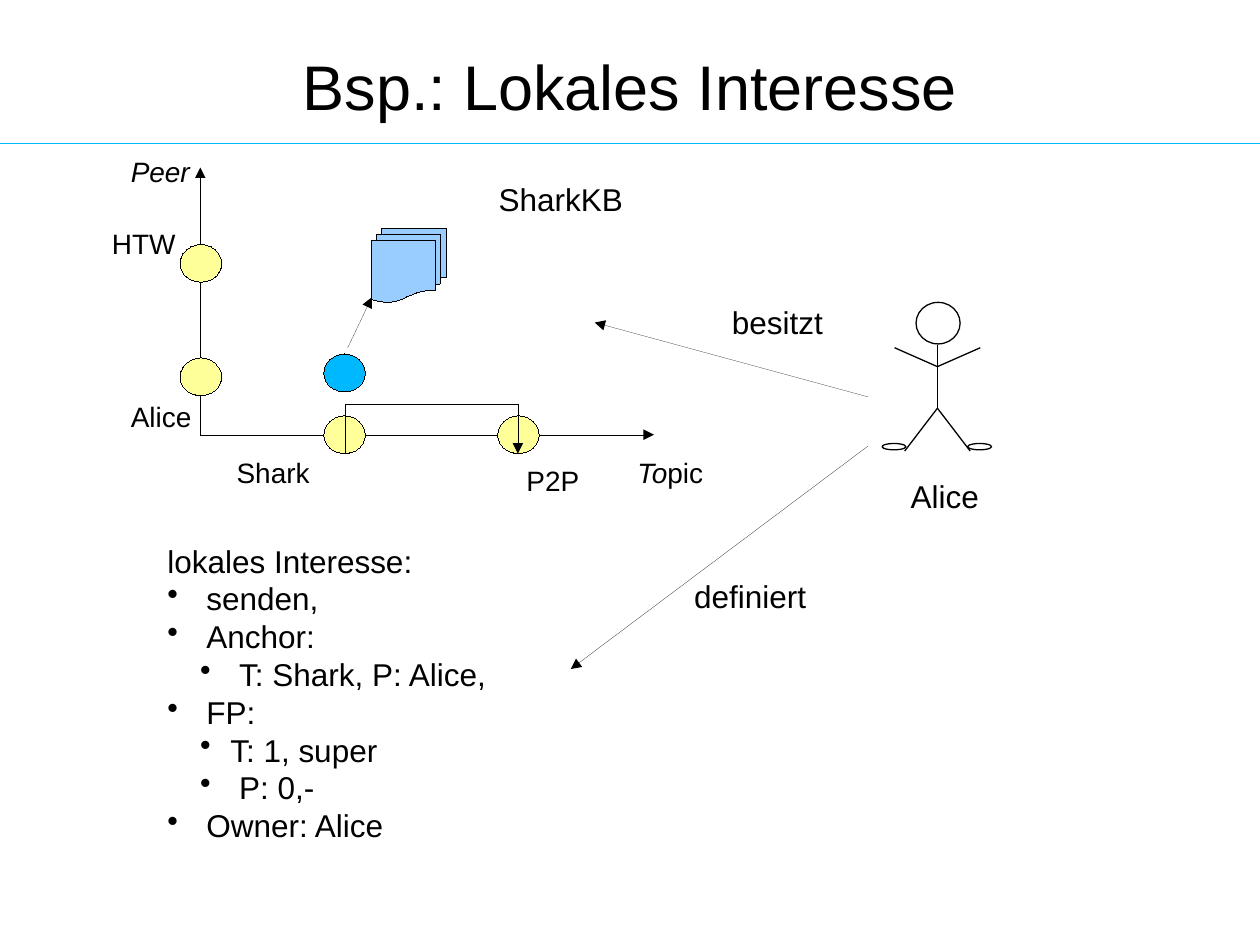
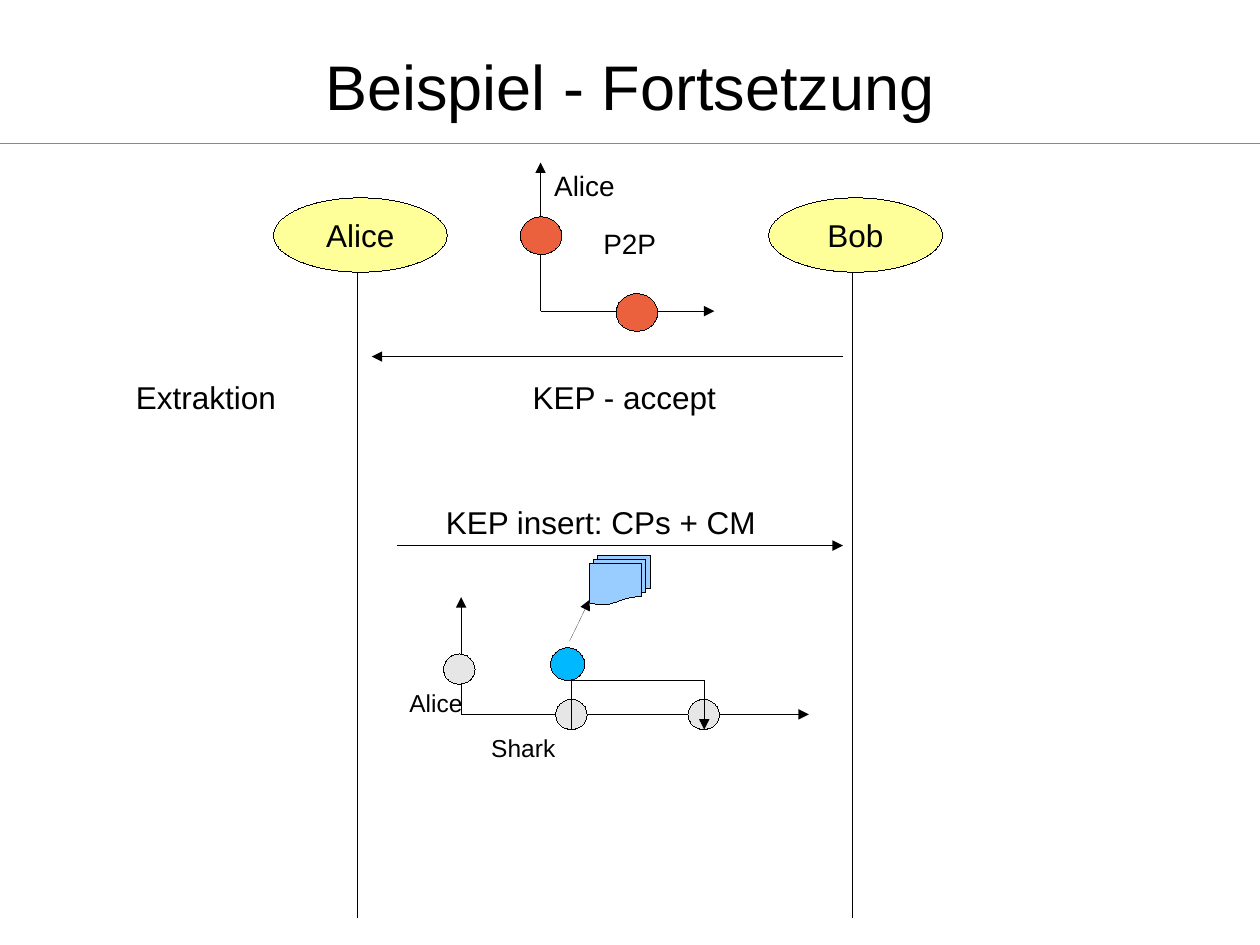
import dataclasses
import typing

import lxml.etree
import pptx
import pptx.dml.color
import pptx.enum.shapes
import pptx.enum.text
import pptx.oxml.ns
import pptx.util

Inches = pptx.util.Inches
Preset = pptx.enum.shapes.MSO_SHAPE
Align = pptx.enum.text.PP_ALIGN


@dataclasses.dataclass(frozen=True)
class Theme:
    font: str = "Arial"
    ink: str = "000000"
    rule: str = "00B8FF"
    yellow: str = "FFFF99"
    blue: str = "00B8FF"
    paper: str = "99CCFF"
    red: str = "EB613D"
    gray: str = "E6E6E6"
    title: int = 36
    text: int = 18
    label: int = 16
    small: int = 14
    hairline: float = 0.01  # a width of zero would fall back to the shape style
    thin: float = 0.75


THEME = Theme()
LABEL_HEIGHT = {THEME.text: 0.4, THEME.label: 0.37, THEME.small: 0.33}


@dataclasses.dataclass(frozen=True)
class Label:
    left: float
    top: float
    width: float
    text: str
    size: int = THEME.text
    italic: bool = False


@dataclasses.dataclass(frozen=True)
class Line:
    x1: float
    y1: float
    x2: float
    y2: float
    arrow: bool = True


@dataclasses.dataclass(frozen=True)
class Shape:
    left: float
    top: float
    width: float = 0.33
    height: float = 0.3
    fill: typing.Optional[str] = THEME.yellow
    preset: Preset = Preset.OVAL
    text: str = ""


@dataclasses.dataclass(frozen=True)
class Bullet:
    text: str
    bullet_at: float = 0
    text_at: float = 0.31


def rgb(value: str) -> pptx.dml.color.RGBColor:
    return pptx.dml.color.RGBColor.from_string(value)


# Text

def add_text(para, text: str, *, size: int = THEME.text, italic: bool = False,
             align: Align = Align.LEFT) -> None:
    para.alignment = align
    span = para.add_run()
    span.text = text
    span.font.name = THEME.font
    span.font.size = pptx.util.Pt(size)
    span.font.italic = italic
    span.font.color.rgb = rgb(THEME.ink)


def add_text_box(shapes, left: float, top: float, width: float, height: float):
    box = shapes.add_textbox(*map(Inches, (left, top, width, height)))
    frame = box.text_frame
    frame.word_wrap = False
    frame.margin_right = 0
    frame.auto_size = pptx.enum.text.MSO_AUTO_SIZE.SHAPE_TO_FIT_TEXT
    return box


def add_label(shapes, label: Label):
    box = add_text_box(shapes, label.left, label.top, label.width, LABEL_HEIGHT[label.size])
    add_text(box.text_frame.paragraphs[0], label.text, size=label.size, italic=label.italic)
    return box


def add_bullet(frame, bullet: Bullet) -> None:
    para = frame.add_paragraph()
    properties = para._p.get_or_add_pPr()
    properties.set("marL", str(Inches(bullet.text_at)))
    properties.set("indent", str(Inches(bullet.bullet_at - bullet.text_at)))
    mark = lxml.etree.SubElement(properties, pptx.oxml.ns.qn("a:buChar"))
    mark.set("char", "•")
    add_text(para, bullet.text)


# Lines and shapes

def style_line(shape, color: str, weight: float, arrow: bool) -> None:
    shape.line.color.rgb = rgb(color)
    shape.line.width = pptx.util.Pt(weight)
    if arrow:
        outline = shape._element.spPr.find(pptx.oxml.ns.qn("a:ln"))
        lxml.etree.SubElement(outline, pptx.oxml.ns.qn("a:tailEnd")).set("type", "triangle")


def add_line(shapes, line: Line, *, color: str = THEME.ink,
             weight: float = THEME.hairline) -> None:
    ends = map(Inches, (line.x1, line.y1, line.x2, line.y2))
    connector = shapes.add_connector(pptx.enum.shapes.MSO_CONNECTOR.STRAIGHT, *ends)
    style_line(connector, color, weight, line.arrow)
    lxml.etree.SubElement(connector._element.spPr, pptx.oxml.ns.qn("a:effectLst"))


def add_bridge(shapes, left: float, right: float, foot: float, top: float) -> None:
    """Draw an angled arrow that rises, crosses over and comes down."""
    builder = shapes.build_freeform(Inches(left), Inches(foot))
    corners = [(left, top), (right, top), (right, foot)]
    builder.add_line_segments([(Inches(x), Inches(y)) for x, y in corners], close=False)
    bridge = builder.convert_to_shape()
    bridge.shadow.inherit = False
    bridge.fill.background()
    style_line(bridge, THEME.ink, THEME.hairline, True)


def add_shape(shapes, item: Shape, *, weight: float = THEME.hairline) -> None:
    bounds = map(Inches, (item.left, item.top, item.width, item.height))
    shape = shapes.add_shape(item.preset, *bounds)
    shape.shadow.inherit = False
    if item.fill:
        shape.fill.solid()
        shape.fill.fore_color.rgb = rgb(item.fill)
    else:
        shape.fill.background()
    style_line(shape, THEME.ink, weight, False)
    if item.text:
        shape.text_frame.word_wrap = False
        add_text(shape.text_frame.paragraphs[0], item.text, align=Align.CENTER)


def add_all(shapes, items: typing.Iterable) -> None:
    draw = {Label: add_label, Line: add_line, Shape: add_shape}
    for item in items:
        draw[type(item)](shapes, item)


def add_person(shapes, center: float) -> None:
    neck, shoulder, hip, foot = 2.74, 2.91, 3.24, 3.58
    add_shape(shapes, Shape(center - 0.17, 2.4, 0.35, 0.33, None), weight=THEME.thin)
    add_line(shapes, Line(center, neck, center, hip, False), weight=THEME.thin)
    for side in (-1, 1):
        leg = Line(center, hip, center + side * 0.26, foot, False)
        arm = Line(center, shoulder, center + side * 0.34, 2.76, False)
        for limb in (leg, arm):
            add_line(shapes, limb, weight=THEME.thin)
        shoe = Shape(center + side * 0.34 - 0.1, 3.52, 0.19, 0.05, None)
        add_shape(shapes, shoe, weight=THEME.thin)


# Shared slide frame

def add_page(deck, title: str):
    page = deck.slides.add_slide(deck.slide_layouts.get_by_name("Title Only"))
    add_line(page.shapes, Line(0, 1.14, 10, 1.14, False), color=THEME.rule, weight=THEME.thin)
    holder = page.shapes.title
    holder.left, holder.top, holder.width, holder.height = map(Inches, (0.5, 0.38, 9, 0.6))
    frame = holder.text_frame
    frame.margin_left = frame.margin_right = frame.margin_top = frame.margin_bottom = 0
    frame.vertical_anchor = pptx.enum.text.MSO_ANCHOR.MIDDLE
    frame.auto_size = pptx.enum.text.MSO_AUTO_SIZE.NONE
    add_text(frame.paragraphs[0], title, size=THEME.title, align=Align.CENTER)
    return page


# Slide 1: local interest

def fill_interest(page) -> None:
    shapes = page.shapes
    add_person(shapes, 7.44)
    origin_x, origin_y = 1.59, 3.45
    add_all(shapes, [
        Label(7.13, 3.74, 0.74, "Alice"),
        Line(origin_x, origin_y, 5.19, origin_y),
        Line(origin_x, origin_y, origin_x, 1.33),
        Label(0.94, 1.18, 0.67, "Peer", THEME.label, True),
        *[Shape(1.43, top) for top in (2.84, 1.94)],
        *[Shape(left, 3.3) for left in (2.57, 3.95)],
        Label(1.78, 3.57, 0.78, "Shark", THEME.label),
        Label(4.08, 3.63, 0.62, "P2P", THEME.label),
        Shape(2.57, 2.81, fill=THEME.blue),
        Label(0.94, 3.12, 0.68, "Alice", THEME.label),
        Label(0.79, 1.75, 0.7, "HTW", THEME.label),
    ])
    topic = add_label(shapes, Label(4.96, 3.57, 0.74, "To", THEME.label, True))
    add_text(topic.text_frame.paragraphs[0], "pic", size=THEME.label)

    interest = add_text_box(shapes, 1.23, 4.25, 2.93, 2.5).text_frame
    add_text(interest.paragraphs[0], "lokales Interesse:")
    for bullet in (
        Bullet("senden,"),
        Bullet("Anchor:"),
        Bullet("T: Shark, P: Alice,", 0.26, 0.57),
        Bullet("FP:"),
        Bullet("T: 1, super", 0.26, 0.5),
        Bullet("P: 0,-", 0.26, 0.57),
        Bullet("Owner: Alice"),
    ):
        add_bullet(interest, bullet)

    add_all(shapes, [
        Shape(2.95, 1.81, 0.59, 0.59, THEME.paper, Preset.FLOWCHART_MULTIDOCUMENT),
        Line(2.76, 2.76, 2.95, 2.36),
        Line(6.89, 3.54, 4.53, 5.31),
        Label(5.41, 4.53, 1.09, "definiert"),
        Line(6.89, 3.15, 4.72, 2.56),
        Label(5.71, 2.36, 0.92, "besitzt"),
        Label(3.86, 1.38, 1.18, "SharkKB"),
    ])
    add_bridge(shapes, 2.74, 4.11, 3.6, 3.21)


# Slide 2: message sequence between two peers

def fill_sequence(page) -> None:
    shapes = page.shapes
    for left, name in ((2.17, "Alice"), (6.1, "Bob")):
        lifeline = left + 0.67
        add_shape(shapes, Shape(left, 1.57, 1.38, 0.59, text=name))
        add_line(shapes, Line(lifeline, 2.17, lifeline, 7.28, False))

    # Accepted interest
    origin_x, origin_y = 4.29, 2.47
    add_all(shapes, [
        Label(4.69, 1.75, 0.71, "P2P", THEME.label),
        Label(4.3, 1.29, 0.71, "Alice", THEME.label),
        Line(origin_x, origin_y, origin_x, 1.29),
        Shape(4.13, 1.72, fill=THEME.red),
        Line(origin_x, origin_y, 5.67, origin_y),
        Shape(4.89, 2.33, fill=THEME.red),
        Line(6.69, 2.83, 2.95, 2.83),
        Label(4.13, 2.95, 1.66, "KEP - accept"),
        Label(0.98, 2.95, 1.31, "Extraktion"),
    ])

    # Inserted knowledge
    origin_x, origin_y = 3.66, 5.67
    add_all(shapes, [
        Line(3.15, 4.33, 6.69, 4.33),
        Label(3.44, 3.94, 2.66, "KEP insert: CPs + CM"),
        Shape(4.37, 5.14, 0.27, 0.26, THEME.blue),
        Shape(4.68, 4.41, 0.48, 0.39, THEME.paper, Preset.FLOWCHART_MULTIDOCUMENT),
        Line(4.52, 5.09, 4.68, 4.76),
        Line(origin_x, origin_y, 6.42, origin_y),
        Line(origin_x, origin_y, origin_x, 4.74),
        *[Shape(left, top, 0.25, 0.24, THEME.gray)
          for left, top in ((4.41, 5.55), (5.46, 5.55), (3.52, 5.19))],
        Label(3.8, 5.77, 0.71, "Shark", THEME.small),
        Label(3.15, 5.41, 0.62, "Alice", THEME.small),
    ])
    add_bridge(shapes, 4.53, 5.59, 5.79, 5.4)


def main() -> None:
    deck = pptx.Presentation()
    deck.slide_width, deck.slide_height = Inches(10), Inches(7.5)
    fill_interest(add_page(deck, "Bsp.: Lokales Interesse"))
    fill_sequence(add_page(deck, "Beispiel - Fortsetzung"))
    deck.save("out.pptx")


if __name__ == "__main__":
    main()
